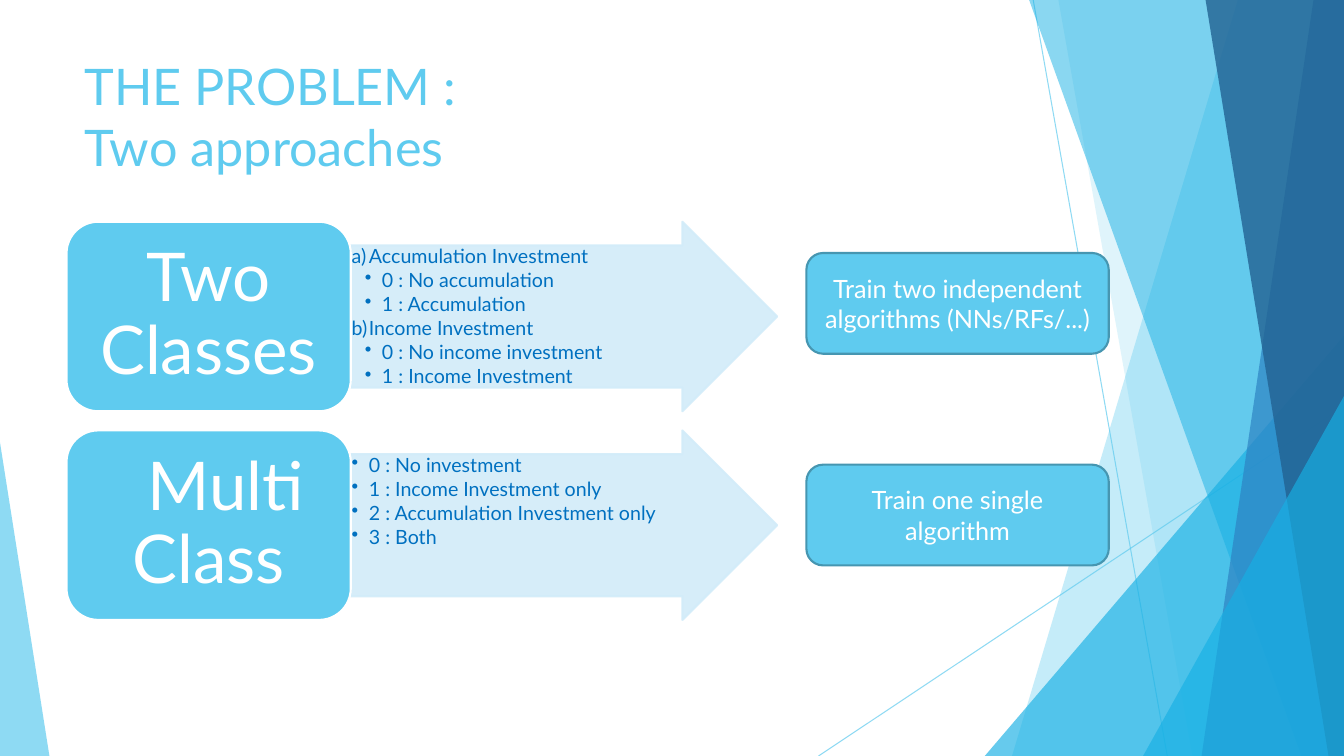
from dataclasses import dataclass

from lxml.etree import SubElement
from pptx import Presentation
from pptx.dml.color import RGBColor
from pptx.enum.shapes import MSO_CONNECTOR, MSO_SHAPE
from pptx.enum.text import MSO_ANCHOR, PP_ALIGN
from pptx.oxml.ns import qn
from pptx.shapes.autoshape import Shape
from pptx.shapes.base import BaseShape
from pptx.util import Inches, Pt

CELL = Inches(0.1)  # one column or row of the slide grid
COLS, ROWS = 133.33, 75
FONT = "Lato"

SKY = RGBColor(0x5F, 0xCB, 0xEF)
AZURE = RGBColor(0x17, 0xB0, 0xE4)
BLUE = RGBColor(0x2E, 0x83, 0xC3)
NAVY = RGBColor(0x22, 0x62, 0x92)
PALE = RGBColor(0xD2, 0xEC, 0xF9)
INK = RGBColor(0x00, 0x70, 0xC0)
EDGE = RGBColor(0x46, 0x96, 0xB1)
WHITE = RGBColor(0xFF, 0xFF, 0xFF)


@dataclass
class Band:
    """A facet along the right edge, from column top to column foot."""
    top: float
    foot: float
    color: RGBColor
    alpha: int


@dataclass
class Wedge:
    """A right triangle standing on the slide's lower edge."""
    left: float
    top: float
    width: float
    tip: int
    color: RGBColor
    alpha: int


@dataclass
class Item:
    text: str
    depth: int = 1
    mark: str = "•"


@dataclass
class Approach:
    row: float
    name: str
    shift: float
    items: list[Item]
    train_row: float
    train: str


RAYS = [(102.5, 0, 115.8, ROWS), (COLS, 40.3, 81.2, ROWS)]
FACETS = [
    Band(122.8, 100.4, SKY, 36),
    Band(105, 118.3, SKY, 20),
    Wedge(97.7, 33.3, 35.63, 1, AZURE, 66),
    Band(102.1, 129.1, AZURE, 50),
    Band(130.3, 119.2, BLUE, 70),
    Band(119.6, 131.8, NAVY, 80),
    Wedge(113.4, 39.3, 19.93, 1, AZURE, 66),
    Wedge(0, 43.9, 4.9, 0, SKY, 70),
]
APPROACHES = [
    Approach(22, "Two Classes", 0, [
        Item("Accumulation Investment", mark="a)"),
        Item("0 : No accumulation", 2),
        Item("1 : Accumulation", 2),
        Item("Income Investment", mark="a)"),
        Item("0 : No income investment", 2),
        Item("1 : Income Investment", 2),
    ], 25.1, "Train two independent algorithms (NNs/RFs/...)"),
    Approach(42.7, "Multi Class", 3.4, [
        Item("0 : No investment"),
        Item("1 : Income Investment only"),
        Item("2 : Accumulation Investment only"),
        Item("3 : Both"),
    ], 46.1, "Train one single algorithm"),
]


def grid(*cells: float) -> list[int]:
    return [round(cell * CELL) for cell in cells]


def fade(shape: BaseShape, alpha: int) -> None:
    """Make fill and line opaque to alpha percent."""
    for tint in shape.element.spPr.iter(qn("a:srgbClr")):
        SubElement(tint, qn("a:alpha"), val=str(alpha * 1000))


def paint(shape: Shape, fill: RGBColor, line: RGBColor | None = None,
          alpha: int = 100) -> None:
    shape.shadow.inherit = False
    shape.fill.solid()
    shape.fill.fore_color.rgb = fill
    if line is None:
        shape.line.fill.background()
    else:
        shape.line.color.rgb = line
        shape.line.width = Pt(1.5)
    if alpha < 100:
        fade(shape, alpha)


def write(shape: Shape, items: list[Item], *, size: float, color: RGBColor,
          align: PP_ALIGN = PP_ALIGN.CENTER,
          anchor: MSO_ANCHOR = MSO_ANCHOR.MIDDLE,
          inset: tuple[float, float] = (1, 0.5), space: float = 1,
          after: float = 0, shift: float = 0, bullets: bool = False) -> None:
    frame = shape.text_frame
    frame.word_wrap = True
    frame.vertical_anchor = anchor
    frame.margin_left = frame.margin_right = grid(inset[0])[0]
    frame.margin_top = frame.margin_bottom = grid(inset[1])[0]
    for spot, item in enumerate(items):
        para = frame.add_paragraph() if spot else frame.paragraphs[0]
        para.text = item.text
        para.alignment = align
        para.line_spacing = space
        para.space_after = Pt(after)
        para.font.size = Pt(size)
        para.font.name = FONT
        para.font.color.rgb = color
        props = para._p.get_or_add_pPr()
        if shift:
            props.set("indent", str(grid(shift)[0]))
        if bullets:
            list_mark(props, item)
            para.level = item.depth


def list_mark(props, item: Item) -> None:
    left, hang = grid(1.7 + 1.3 * (item.depth - 1), -1.7)
    props.set("marL", str(left))
    props.set("indent", str(hang))
    if item.mark == "a)":
        mark = SubElement(props, qn("a:buAutoNum"), type="alphaLcParenR")
    else:
        mark = SubElement(props, qn("a:buChar"), char=item.mark)
    text_style = props.find(qn("a:defRPr"))
    if text_style is not None:
        text_style.addprevious(mark)


def draw_ray(shapes, ends: tuple[float, ...]) -> None:
    ray = shapes.add_connector(MSO_CONNECTOR.STRAIGHT, *grid(*ends))
    ray.line.color.rgb = SKY
    ray.line.width = Pt(0.75)
    fade(ray, 70)
    SubElement(ray.element.spPr, qn("a:effectLst"))


def draw_facet(shapes, facet: Band | Wedge) -> None:
    if isinstance(facet, Band):
        pen = shapes.build_freeform(*grid(facet.top, 0))
        rest = [(COLS, 0), (COLS, ROWS), (facet.foot, ROWS)]
        pen.add_line_segments([grid(*point) for point in rest], close=True)
        shape = pen.convert_to_shape()
    else:
        shape = shapes.add_shape(
            MSO_SHAPE.ISOSCELES_TRIANGLE,
            *grid(facet.left, facet.top, facet.width, ROWS - facet.top))
        shape.adjustments[0] = facet.tip
    paint(shape, facet.color, alpha=facet.alpha)


def draw_approach(shapes, plan: Approach) -> None:
    arrow = shapes.add_shape(MSO_SHAPE.RIGHT_ARROW,
                             *grid(34.8, plan.row, 42.3, 18.8))
    arrow.adjustments[0] = 0.75
    arrow.adjustments[1] = 0.5
    paint(arrow, PALE, PALE, 90)
    write(arrow, plan.items, size=14, color=INK, align=PP_ALIGN.LEFT,
          anchor=MSO_ANCHOR.TOP, inset=(0.1, 0.1), space=0.9, after=2.1,
          bullets=True)

    label = shapes.add_shape(MSO_SHAPE.ROUNDED_RECTANGLE,
                             *grid(6.6, plan.row, 28.2, 18.8))
    paint(label, SKY, WHITE)
    write(label, [Item(plan.name)], size=48, color=WHITE, inset=(2, 1),
          space=0.9, shift=plan.shift)


def draw_train(shapes, plan: Approach) -> None:
    box = shapes.add_shape(MSO_SHAPE.ROUNDED_RECTANGLE,
                           *grid(80, plan.train_row, 30, 10))
    paint(box, SKY, EDGE)
    write(box, [Item(plan.train)], size=18, color=WHITE)


def main() -> None:
    deck = Presentation()
    deck.slide_width, deck.slide_height = grid(COLS, ROWS)
    shapes = deck.slides.add_slide(deck.slide_layouts[6]).shapes
    for ends in RAYS:
        draw_ray(shapes, ends)
    for facet in FACETS:
        draw_facet(shapes, facet)
    title = shapes.add_textbox(*grid(7.4, 5, 94, 14.4))
    write(title, [Item("THE PROBLEM :\vTwo approaches")], size=36, color=SKY,
          align=PP_ALIGN.LEFT, anchor=MSO_ANCHOR.TOP)
    for draw in (draw_approach, draw_train):
        for plan in APPROACHES:
            draw(shapes, plan)
    deck.save("out.pptx")


if __name__ == "__main__":
    main()
